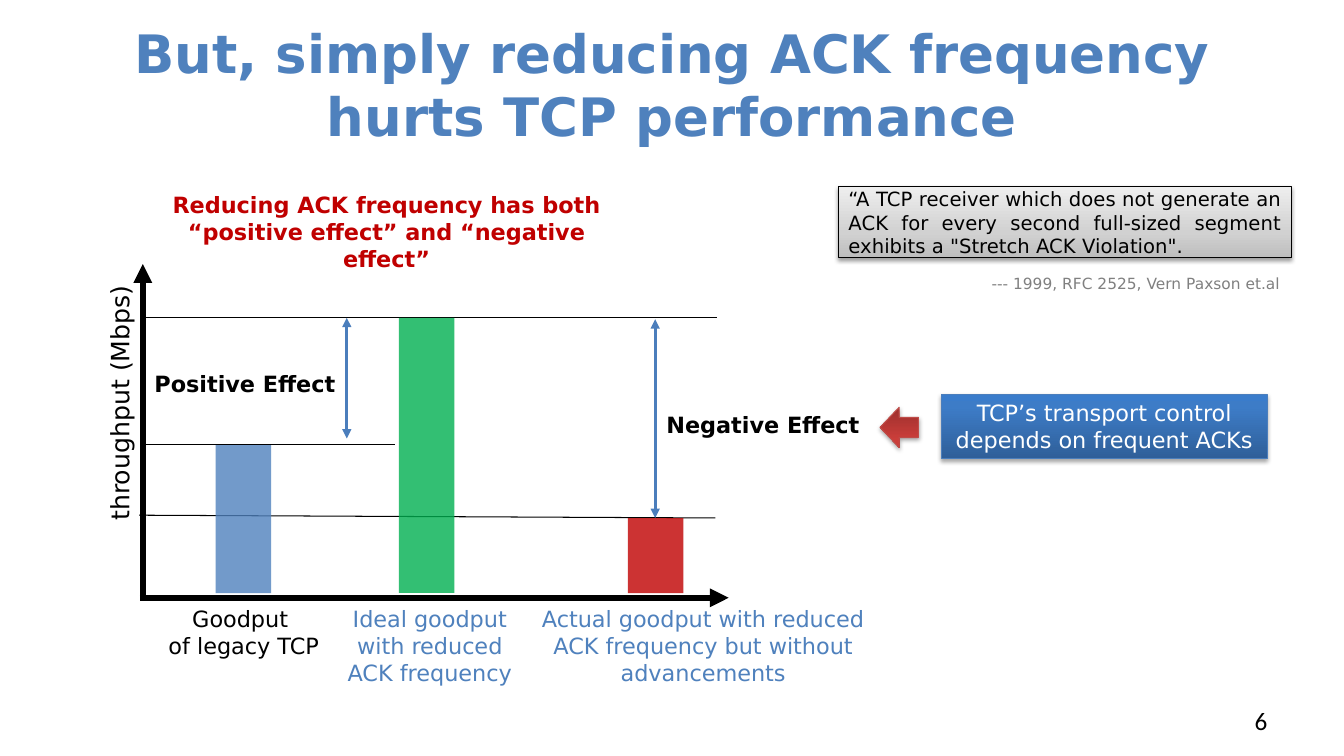
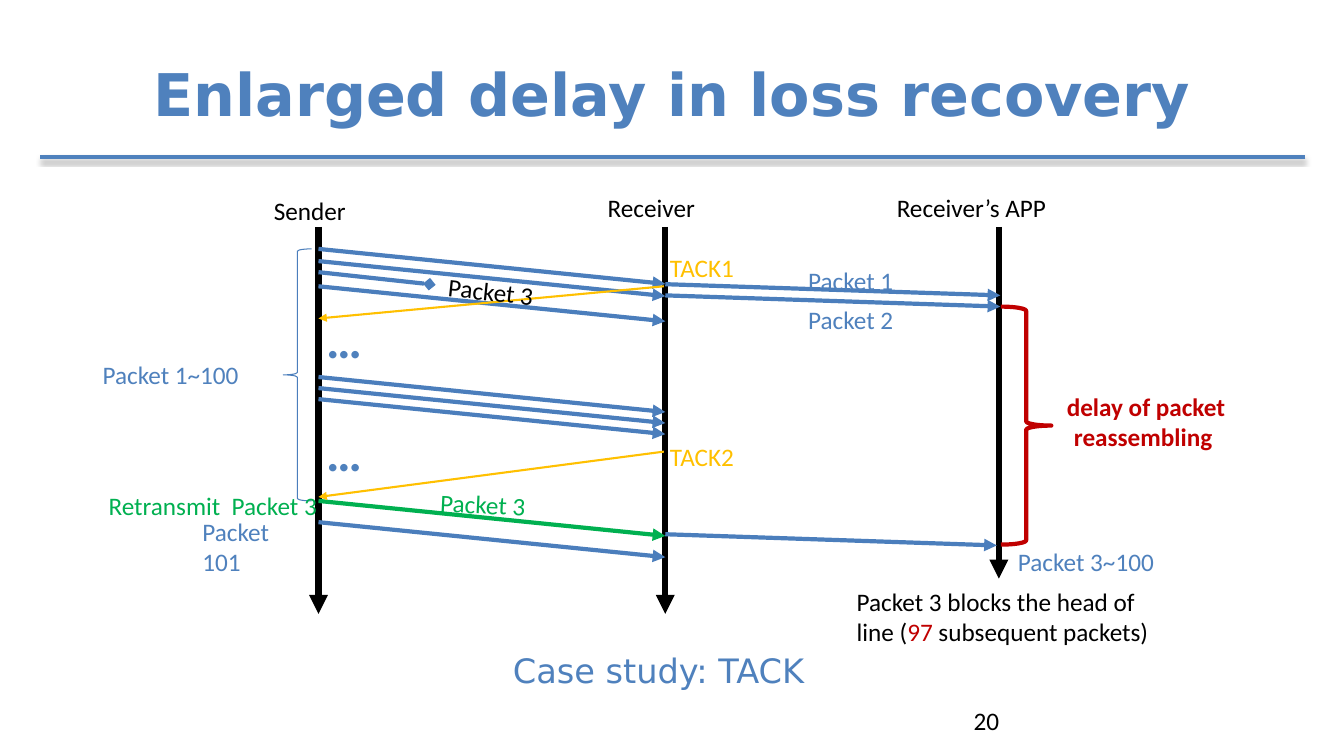
"""Build two slides on how sparse ACKs affect TCP."""
from lxml import etree
from pptx import Presentation
from pptx.dml.color import RGBColor
from pptx.enum import shapes, text
from pptx.oxml.ns import qn
from pptx.util import Pt

BLUE, EDGE, BLACK, WHITE = "4F81BD", "4B7EBC", "000000", "FFFFFF"
RED, GREEN, GOLD, GRAY = "C00000", "00B050", "FFC000", "808080"
SANS, BODY = "DejaVu Sans", "Calibri"
LEFT, MID, RIGHT, FULL = (text.PP_ALIGN.LEFT, text.PP_ALIGN.CENTER,
                          text.PP_ALIGN.RIGHT, text.PP_ALIGN.JUSTIFY)
KIND = shapes.MSO_SHAPE


def paint(target, color):
    """Set a colour format from a hex string."""
    target.rgb = RGBColor.from_string(color)


def node(parent, tag, **attrs):
    """Append a drawing element and return it."""
    item = etree.SubElement(parent, qn("a:" + tag))
    for name, value in attrs.items():
        item.set(name, str(value))
    return item


def tint(parent, color, alpha=None):
    """Append a colour element, see-through if alpha is given."""
    item = node(parent, "srgbClr", val=color)
    if alpha is not None:
        node(item, "alpha", val=alpha * 1000)


def shade(effects, alpha=35, drop=1.8):
    """Add a soft shadow below to an effect list."""
    cast = node(effects, "outerShdw", blurRad=Pt(3.1), dist=Pt(drop),
                dir=5400000, rotWithShape=0)
    tint(cast, BLACK, alpha)


def style(frame, words, size, color=BLACK, font=SANS, bold=False,
          align=LEFT, anchor=text.MSO_ANCHOR.TOP, inset=3.6):
    """Fill a text frame; words are lines, or lists of (text, colour)."""
    frame.word_wrap = True
    frame.vertical_anchor = anchor
    frame.margin_left = frame.margin_right = Pt(7.2)
    frame.margin_top = frame.margin_bottom = Pt(inset)
    if isinstance(words, str):
        frame.text = words
    else:
        for part, _ in words:
            frame.paragraphs[0].add_run().text = part
    for para in frame.paragraphs:
        para.alignment = align
        for i, run in enumerate(para.runs):
            run.font.name, run.font.size, run.font.bold = font, Pt(size), bold
            paint(run.font.color, color if isinstance(words, str) else words[i][1])


def label(slide, box, words, size=16, turn=0, **look):
    """Add a text box."""
    item = slide.shapes.add_textbox(*map(Pt, box))
    item.rotation = turn
    style(item.text_frame, words, size, **look)
    return item


def line(slide, start, end, color=EDGE, width=3, tail=None, head=None, cast=False):
    """Add a straight line with optional ends and shadow."""
    item = slide.shapes.add_connector(shapes.MSO_CONNECTOR.STRAIGHT,
                                      *map(Pt, (*start, *end)))
    paint(item.line.color, color)
    item.line.width = Pt(width)
    outline = item.line._get_or_add_ln()
    for tag, kind in (("headEnd", head), ("tailEnd", tail)):
        if kind:
            node(outline, tag, type=kind)
    effects = node(item._element.spPr, "effectLst")
    if cast:
        shade(effects)


def block(slide, kind, box, fill=None, alpha=None, edge=None, width=0.75):
    """Add a preset shape with a flat fill or none."""
    item = slide.shapes.add_shape(kind, *map(Pt, box))
    item.shadow.inherit = False
    if fill:
        item.fill.solid()
        paint(item.fill.fore_color, fill)
        if alpha:
            node(item._element.spPr.find(".//" + qn("a:srgbClr")), "alpha",
                 val=alpha * 1000)
    else:
        item.fill.background()
    if edge:
        paint(item.line.color, edge)
        item.line.width = Pt(width)
    else:
        item.line.fill.background()
    return item


def gloss(slide, kind, box, stops, edge, alpha=35, drop=1.8):
    """Add a shape with an upward gradient and a shadow."""
    item = block(slide, kind, box, edge=edge)
    item.fill.gradient()
    item.fill.gradient_angle = 90
    props = item._element.spPr
    ramp = props.find(".//" + qn("a:gsLst"))
    for old in list(ramp):
        ramp.remove(old)
    for spot, color in stops:
        tint(node(ramp, "gs", pos=spot * 1000), color)
    shade(props.find(qn("a:effectLst")), alpha, drop)
    return item


def base(deck, title, box, size, page, align, rule=False):
    """Add a blank slide with its title, page number and optional rule."""
    slide = deck.slides.add_slide(deck.slide_layouts[6])
    if rule:
        line(slide, (932.4, 112.3), (28.8, 112.3), BLUE, cast=True)
    label(slide, box, title, size, color=BLUE, bold=True, align=MID,
          anchor=text.MSO_ANCHOR.MIDDLE)
    label(slide, (688.3, 500.4, 224, 28.8), page, 18, font=BODY, align=align)
    return slide


def graph(slide, x, y):
    """Draw the goodput sketch with its axes meeting at x, y."""
    low, top, old = -57, -200, -109.5
    line(slide, (x - 2.6, y + low - 2), (x + 409, y + low), BLACK, 0.75)
    line(slide, (x, y + top), (x + 410, y + top), BLACK, 0.75)
    line(slide, (x, y + 0.6), (x, y - 238.4), BLACK, 4.5, "triangle")
    line(slide, (x - 2, y), (x + 418.5, y), BLACK, 4.5, "triangle")
    for left, rise, color in ((183, top, GREEN), (346.5, low, RED), (52, old, BLUE)):
        block(slide, KIND.RECTANGLE, (x + left, y + rise, 39.6, -3.4 - rise),
              color, 80)
    line(slide, (x - 1.5, y + old), (x + 180, y + old), BLACK, 0.75)
    for left, rise, foot in ((145.7, top, -113.8), (366, top + 1, low)):
        line(slide, (x + left, y + rise), (x + left, y + foot), EDGE, 2.25,
             "triangle", "triangle")
    label(slide, (x - 120.7, y - 166.4, 208, 28.8), "throughput (Mbps)", 18, 270)
    for left, width, color, words in (
            (4.6, 130, BLACK, "Goodput\n of legacy TCP"),
            (134, 142, BLUE, "Ideal goodput with reduced ACK frequency"),
            (270, 260.6, BLUE, "Actual goodput with reduced ACK frequency "
                               "but without advancements")):
        label(slide, (x + left, y + 2, width, 65.5), words, color=color, align=MID)
    for left, rise, words in ((-7, -166.4, "Positive Effect"),
                              (363, -137, "Negative Effect")):
        label(slide, (x + left, y + rise, 160, 26.6), words, bold=True, align=MID)
    label(slide, (x - 7.7, y - 293.8, 363.6, 46),
          "Reducing ACK frequency has both “positive effect” and “negative effect”",
          color=RED, bold=True, align=MID)


def quote(slide, x, y):
    """Place the quoted rule and its source."""
    flat = {"anchor": text.MSO_ANCHOR.MIDDLE, "inset": 0}
    card = gloss(slide, KIND.RECTANGLE, (x, y, 323.3, 51),
                 ((0, "BDBDBD"), (35, "D1D1D1"), (100, "EEEEEE")), BLACK, 38, 1.6)
    style(card.text_frame, "“A TCP receiver which does not generate an ACK for every "
          "second full-sized segment exhibits a \"Stretch ACK Violation\". ",
          14, align=FULL, **flat)
    label(slide, (x + 102.2, y + 62.6, 232.6, 13.7),
          "--- 1999, RFC 2525, Vern Paxson et.al", 11, color=GRAY, **flat)


def cause(slide, x, y):
    """Place the cause box and the arrow to its left."""
    arrow = gloss(slide, KIND.RIGHT_ARROW, (x, y + 9.4, 27.4, 28.8),
                  ((0, "9C2F2D"), (80, "CB3E3A"), (100, "CE3B37")), "BF4C48")
    arrow.rotation = 180
    card = gloss(slide, KIND.RECTANGLE, (x + 43.9, y, 232.6, 46),
                 ((0, "2F5F99"), (80, "3D7CC7"), (100, "3A7CCB")), EDGE)
    style(card.text_frame, "TCP’s transport control depends on frequent ACKs", 16,
          color=WHITE, align=MID)


def flow(slide, x, y):
    """Draw the packet exchange with the sender's line starting at x, y."""
    peer, app, fall, sink = 247.7, 486, 25, 8

    def note(left, top, width, words, color=BLACK, size=18, height=26.6, **look):
        """Add a label inside the exchange."""
        label(slide, (x + left, y + top, width, height), words, size,
              color=color, font=BODY, **look)

    def send(start, end, color=EDGE, width=3, tail="triangle"):
        """Add an arrow inside the exchange."""
        line(slide, (x + start[0], y + start[1]), (x + end[0], y + end[1]),
             color, width, tail)

    for left, foot in ((0, 276.5), (peer, 276.5), (app, 251.3)):
        send((left, 0), (left, foot), BLACK, 4.5)
    for top in (15.8, 24.5, 42.5, 107.3, 115.2, 123.1, 211):
        send((0, top), (peer, top + fall))
    send((0, 32.4), (79.2, 41), tail="diamond")
    for top in (41, 49, 219.6):
        send((peer, top), (app + 1 if top < 100 else app - 1.5, top + sink))
    send((0, 195.8), (peer, 195.8 + fall), GREEN)
    for top, foot in ((42.5, 65.5), (160.6, 193)):
        send((peer - 1, top), (0, foot), GOLD, 1.5)

    block(slide, KIND.LEFT_BRACE, (x - 25.2, y + 15.8, 20.2, 180), edge=EDGE)
    block(slide, KIND.RIGHT_BRACE, (x + 487.5, y + 57, 36, 170), edge=RED, width=3)

    note(-38.9, -26, 81, "Sender")
    note(199.5, -28, 96, "Receiver")
    note(406, -28, 159, "Receiver’s APP")
    note(-161.3, 91.4, 143, "Packet 1~100", BLUE)
    note(244, 15, 79, "TACK1", GOLD)
    note(244, 149.8, 79, "TACK2", GOLD)
    note(342.7, 23.8, 95, "Packet 1", BLUE)
    note(342.7, 51.8, 95, "Packet 2", BLUE)
    note(85.7, 33, 100.8, "Packet 3", turn=6.2)
    note(80, 184.3, 100.8, "Packet 3", GREEN, turn=2.7)
    note(492.5, 224.6, 143, "Packet 3~100", BLUE)
    note(-90, 203, 70, "Packet 101", BLUE)
    note(-157, 185, 175, "Retransmit  Packet 3", GREEN)
    for top in (54.7, 135.4):
        note(-1.7, top, 60, "…", BLUE, 36, 36.7, bold=True)
    note(504.7, 113.8, 172.8, "delay of packet reassembling ", RED, height=47.5,
         bold=True, align=MID)
    note(377.3, 253.4, 235.4, [("Packet 3 blocks the head of line (", BLACK),
                               ("97", RED), (" subsequent packets)", BLACK)],
         height=51)


def main():
    """Build and save the deck."""
    deck = Presentation()
    deck.slide_width, deck.slide_height = Pt(960), Pt(540)
    slide = base(deck, "But, simply reducing ACK frequency hurts TCP performance",
                 (48, 15, 864, 90), 37.8, "6", RIGHT)
    graph(slide, 102, 427)
    cause(slide, 628.6, 281.5)
    quote(slide, 599, 133.2)
    slide = base(deck, "Enlarged delay in loss recovery", (0, 21.6, 960, 90), 42,
                 "20", LEFT, rule=True)
    flow(slide, 227.5, 162)
    label(slide, (359.3, 460.8, 232, 36), "Case study: TACK", 24, color=BLUE)
    deck.save("out.pptx")


if __name__ == "__main__":
    main()
